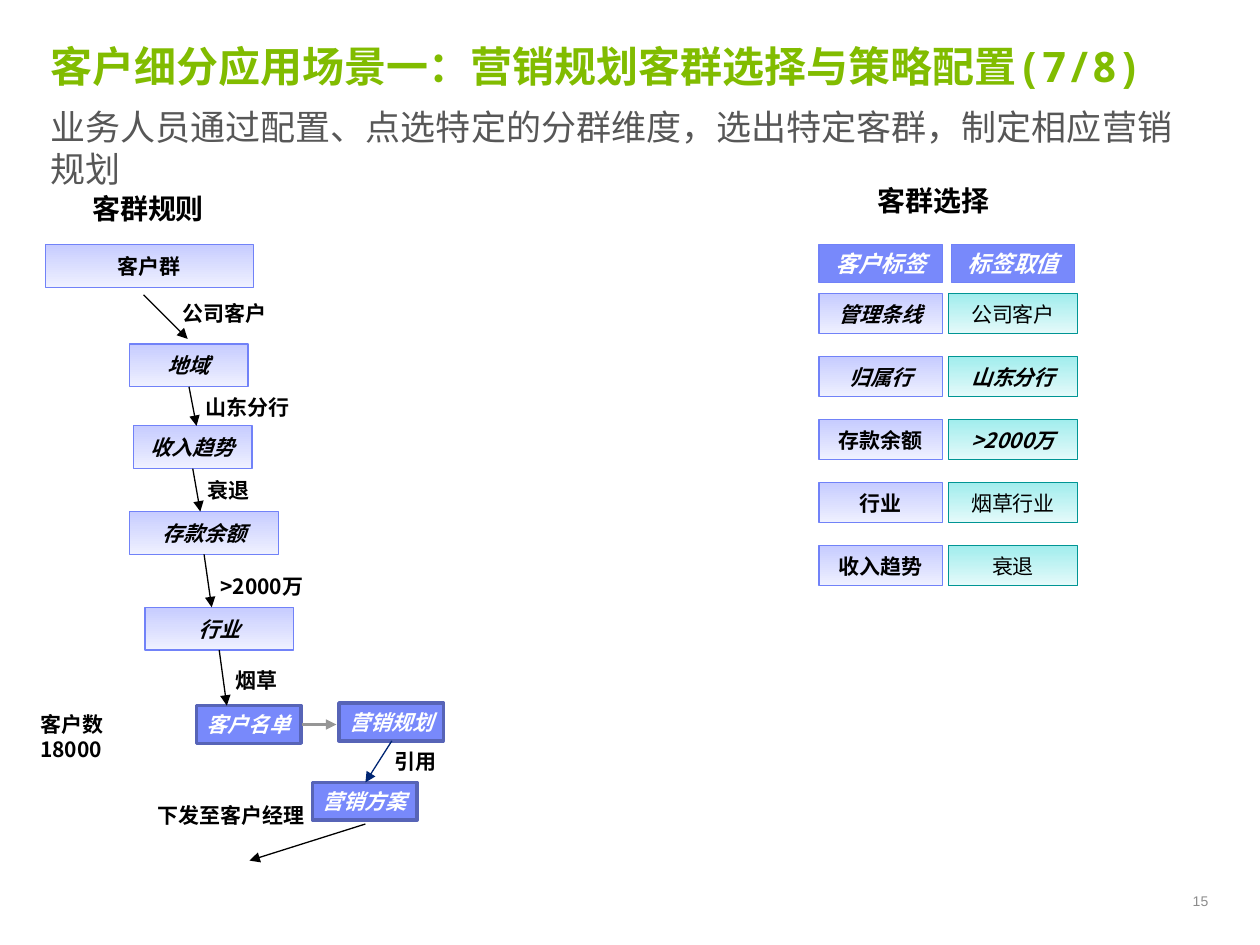
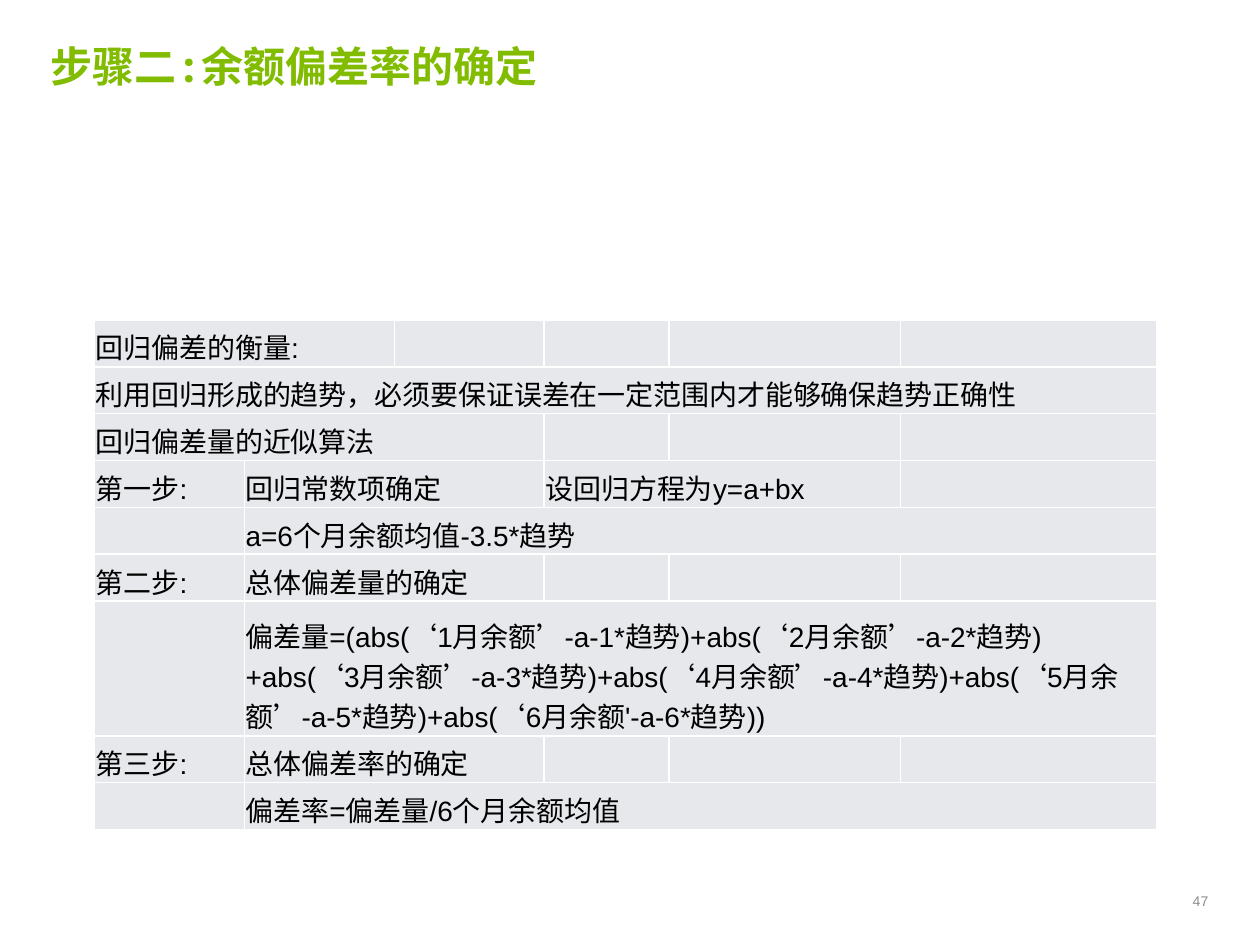
from dataclasses import dataclass

from lxml import etree
from pptx import Presentation, util as u
from pptx.dml.color import RGBColor
from pptx.enum import shapes, text
from pptx.oxml import ns


@dataclass(frozen=True)
class Theme:
    green: str = "81BC00"
    grey: str = "575757"
    number_grey: str = "8C8C8C"
    arrow_grey: str = "969696"
    black: str = "000000"
    white: str = "FFFFFF"
    navy: str = "002673"
    cell: str = "E7E8EC"
    title_font: str = "Noto Sans Mono"
    label_font: str = "Noto Sans CJK SC"
    plain_font: str = "Arial"
    title_size: int = 24
    subtitle_size: int = 20
    heading_size: int = 16
    header_size: int = 13
    label_size: int = 12
    number_size: int = 8


@dataclass(frozen=True)
class Box:
    """A place on the page grid of 100 columns by 75 rows."""
    left: float
    top: float
    width: float
    height: float

    def inside(self, col, row, cols, rows):
        return Box(self.left + col, self.top + row, cols, rows)

    def point(self, col, row):
        return grid(self.left + col), grid(self.top + row)

    @property
    def frame(self):
        return [grid(n) for n in (self.left, self.top, self.width, self.height)]


@dataclass(frozen=True)
class Look:
    fill: tuple
    line: str
    weight: float
    ink: str = Theme.black


THEME = Theme()
LILAC = Look(("EFF1FF", "C7CCFF"), "7182F8", 0.75)
TEAL = Look(("E5FAFA", "A1EDED"), "009594", 0.75)
HEADER = Look(("7889FB",), "7182F8", 0.75, THEME.white)
RESULT = Look(("7889FB",), "5764B7", 2, THEME.white)


def grid(count):
    return u.Inches(count / 10)


def rgb(value):
    return RGBColor.from_string(value)


# Shared parts
def style(para, size, color, font=THEME.label_font, bold=False, italic=False,
          align=text.PP_ALIGN.LEFT):
    para.alignment = align
    para.font.size = u.Pt(size)
    para.font.bold, para.font.italic = bold, italic
    para.font.color.rgb = rgb(color)
    para.font.name = font
    latin = para._p.pPr.find(ns.qn("a:defRPr")).find(ns.qn("a:latin"))
    east_asian = etree.Element(ns.qn("a:ea"), typeface=THEME.label_font)
    latin.addnext(east_asian)


def set_margins(target, size):
    target.margin_left = target.margin_right = u.Inches(size)
    target.margin_top = target.margin_bottom = u.Inches(size)


def add_text(page, box, words, size, color, inset=0.0, wrap=True,
             anchor=text.MSO_ANCHOR.TOP, **font):
    frame = page.shapes.add_textbox(*box.frame).text_frame
    frame.word_wrap = wrap
    frame.vertical_anchor = anchor
    set_margins(frame, inset)
    frame.text = words
    for para in frame.paragraphs:
        style(para, size, color, **font)


def add_label(page, box, words):
    add_text(page, box, words, THEME.label_size, THEME.black,
             inset=0.05, wrap=False, bold=True)


def add_heading(page, box, words):
    add_text(page, box, words, THEME.heading_size, THEME.black,
             inset=0.05, bold=True, align=text.PP_ALIGN.CENTER)


def add_tile(page, box, words, look, size=THEME.label_size, bold=True, italic=True):
    tile = page.shapes.add_shape(shapes.MSO_SHAPE.RECTANGLE, *box.frame)
    tile.shadow.inherit = False
    if len(look.fill) == 1:
        tile.fill.solid()
        tile.fill.fore_color.rgb = rgb(look.fill[0])
    else:
        tile.fill.gradient()
        tile.fill.gradient_angle = 90
        for stop, color in zip(tile.fill.gradient_stops, look.fill):
            stop.color.rgb = rgb(color)
    tile.line.color.rgb = rgb(look.line)
    tile.line.width = u.Pt(look.weight)
    frame = tile.text_frame
    set_margins(frame, 0)
    frame.vertical_anchor = text.MSO_ANCHOR.MIDDLE
    frame.text = words
    style(frame.paragraphs[0], size, look.ink, bold=bold, italic=italic,
          align=text.PP_ALIGN.CENTER)


def add_arrow(page, start, end, color=THEME.black, weight=0.75):
    arrow = page.shapes.add_connector(shapes.MSO_CONNECTOR.STRAIGHT, *start, *end)
    arrow.line.color.rgb = rgb(color)
    arrow.line.width = u.Pt(weight)
    etree.SubElement(arrow.line._get_or_add_ln(), ns.qn("a:tailEnd"), type="triangle")
    etree.SubElement(arrow._element.spPr, ns.qn("a:effectLst"))


def add_page(deck, title, number):
    page = deck.slides.add_slide(deck.slide_layouts[6])
    add_text(page, Box(4, 3.2, 91.7, 5.1), title, THEME.title_size, THEME.green,
             font=THEME.title_font, bold=True)
    add_text(page, Box(87.2, 70.1, 8.7, 2.8), number, THEME.number_size,
             THEME.number_grey, font=THEME.plain_font,
             align=text.PP_ALIGN.RIGHT, anchor=text.MSO_ANCHOR.MIDDLE)
    return page


# Rule flow: words, column, row, columns, italic
STEPS = [
    ("客户群", 1.6, 0.4, 16.5, False),
    ("地域", 8.3, 8.3, 9.4, True),
    ("收入趋势", 8.6, 14.8, 9.4, True),
    ("存款余额", 8.3, 21.6, 11.8, True),
    ("行业", 9.5, 29.2, 11.8, True),
]
RESULTS = [("客户名单", 13.6, 37), ("营销规划", 24.9, 36.8), ("营销方案", 22.8, 43.1)]
# Labels stand beside their arrows
FLOW_LABELS = [
    ("公司客户", 12, 4.4, 7.7),
    ("山东分行", 13.8, 11.8, 7.7),
    ("衰退", 14, 18.4, 4.4),
    (">2000万", 15, 26, 8.1),
    ("烟草", 16.2, 33.5, 4.4),
    ("引用", 28.8, 39.9, 4.4),
    ("下发至客户经理", 10, 44.2, 12.8),
    ("客户数\n18000", 0.7, 37, 6),
]


def draw_rule_flow(page, region):
    add_heading(page, region.inside(0, 0, 19.5, 3.7), "客群规则")
    flow = region.inside(0, 4.3, region.width, region.height - 4.3)
    step_height = 3.4
    for words, col, row, cols, italic in STEPS:
        add_tile(page, flow.inside(col, row, cols, step_height), words, LILAC, italic=italic)
    for words, col, row in RESULTS:
        add_tile(page, flow.inside(col, row, 8.3, 3), words, RESULT)

    # Each later step leads down to the top of the next one
    next_rows = [step[2] for step in STEPS[2:]] + [RESULTS[0][2]]
    for (_, col, row, cols, _), next_row in zip(STEPS[1:], next_rows):
        middle = col + cols / 2
        add_arrow(page, flow.point(middle, row + step_height),
                  flow.point(middle + 0.6, next_row))
    add_arrow(page, flow.point(9.4, 4.4), flow.point(12.9, 7.9))
    add_arrow(page, flow.point(22, 38.5), flow.point(24.7, 38.5), THEME.arrow_grey, 1.5)
    add_arrow(page, flow.point(29.1, 39.8), flow.point(27, 43.1), THEME.navy)
    add_arrow(page, flow.point(27, 46.4), flow.point(17.8, 49.3))

    for words, col, row, cols in FLOW_LABELS:
        add_label(page, flow.inside(col, row, cols, 3), words)


# Selection: tag, tag italic, value, value emphasised
SELECTION = [
    ("管理条线", True, "公司客户", False),
    ("归属行", True, "山东分行", True),
    ("存款余额", False, ">2000万", True),
    ("行业", False, "烟草行业", False),
    ("收入趋势", False, "衰退", False),
]


def draw_selection(page, region):
    add_heading(page, region.inside(0, 0, 18.2, 3.7), "客群选择")
    for col, words in ((0, "客户标签"), (10.5, "标签取值")):
        add_tile(page, region.inside(col, 5.3, 9.8, 3), words, HEADER, THEME.header_size)
    for index, (tag, slanted, value, strong) in enumerate(SELECTION):
        row = 9.2 + 5 * index
        add_tile(page, region.inside(0, row, 9.8, 3.2), tag, LILAC, italic=slanted)
        add_tile(page, region.inside(10.3, row, 10.2, 3.2), value, TEAL,
                 bold=strong, italic=strong)


def build_selection_page(deck):
    page = add_page(deck, "客户细分应用场景一：营销规划客群选择与策略配置(7/8)", "15")
    add_text(page, Box(4, 8.4, 91.7, 6.9),
             "业务人员通过配置、点选特定的分群维度，选出特定客群，制定相应营销规划",
             THEME.subtitle_size, THEME.grey, font=THEME.title_font)
    draw_rule_flow(page, Box(2, 14.7, 36, 55))
    draw_selection(page, Box(65, 14.1, 20.5, 33))


# Deviation table: each row lists (column, columns spanned, words)
COLUMNS = [11.9, 11.9, 11.9, 9.9, 18.4, 20.3]
FORMULA = ("偏差量=(abs(‘1月余额’-a-1*趋势)+abs(‘2月余额’-a-2*趋势)"
           "+abs(‘3月余额’-a-3*趋势)+abs(‘4月余额’-a-4*趋势)"
           "+abs(‘5月余额’-a-5*趋势)+abs(‘6月余额'-a-6*趋势))")
ROWS = [
    [(0, 2, "回归偏差的衡量:")],
    [(0, 6, "利用回归形成的趋势，必须要保证误差在一定范围内才能够确保趋势正确性")],
    [(0, 3, "回归偏差量的近似算法")],
    [(0, 1, "第一步:"), (1, 2, "回归常数项确定"), (3, 2, "设回归方程为y=a+bx")],
    [(1, 5, "a=6个月余额均值-3.5*趋势")],
    [(0, 1, "第二步:"), (1, 2, "总体偏差量的确定")],
    [(1, 5, FORMULA)],
    [(0, 1, "第三步:"), (1, 2, "总体偏差率的确定")],
    [(1, 5, "偏差率=偏差量/6个月余额均值")],
]


def dress_cell(cell):
    set_margins(cell, 0.01)
    cell.margin_bottom = 0
    cell.vertical_anchor = text.MSO_ANCHOR.BOTTOM
    style(cell.text_frame.paragraphs[0], THEME.heading_size, THEME.black,
          font=THEME.plain_font)
    cell.fill.solid()
    cell.fill.fore_color.rgb = rgb(THEME.cell)
    properties = cell._tc.get_or_add_tcPr()
    for index, side in enumerate(("lnL", "lnR", "lnT", "lnB")):
        border = etree.Element(ns.qn(f"a:{side}"), w=str(u.Pt(1)))
        paint = etree.SubElement(border, ns.qn("a:solidFill"))
        etree.SubElement(paint, ns.qn("a:srgbClr"), val=THEME.white)
        properties.insert(index, border)


def draw_deviation_table(page, region):
    table = page.shapes.add_table(len(ROWS), len(COLUMNS), *region.frame).table
    table.first_row = table.horz_banding = False
    for column, width in zip(table.columns, COLUMNS):
        column.width = grid(width)
    for index, entries in enumerate(ROWS):
        table.rows[index].height = grid(10.7 if entries[0][2] == FORMULA else 3.72)
        for col, span, words in entries:
            cell = table.cell(index, col)
            cell.text = words
            if span > 1:
                cell.merge(table.cell(index, col + span - 1))
    for cell in table.iter_cells():
        dress_cell(cell)


def build_deviation_page(deck):
    page = add_page(deck, "步骤二:余额偏差率的确定", "47")
    draw_deviation_table(page, Box(7.5, 25.4, 84.3, 40.5))


def main():
    deck = Presentation()
    deck.slide_width, deck.slide_height = grid(100), grid(75)
    build_selection_page(deck)
    build_deviation_page(deck)
    deck.save("out.pptx")


if __name__ == "__main__":
    main()
